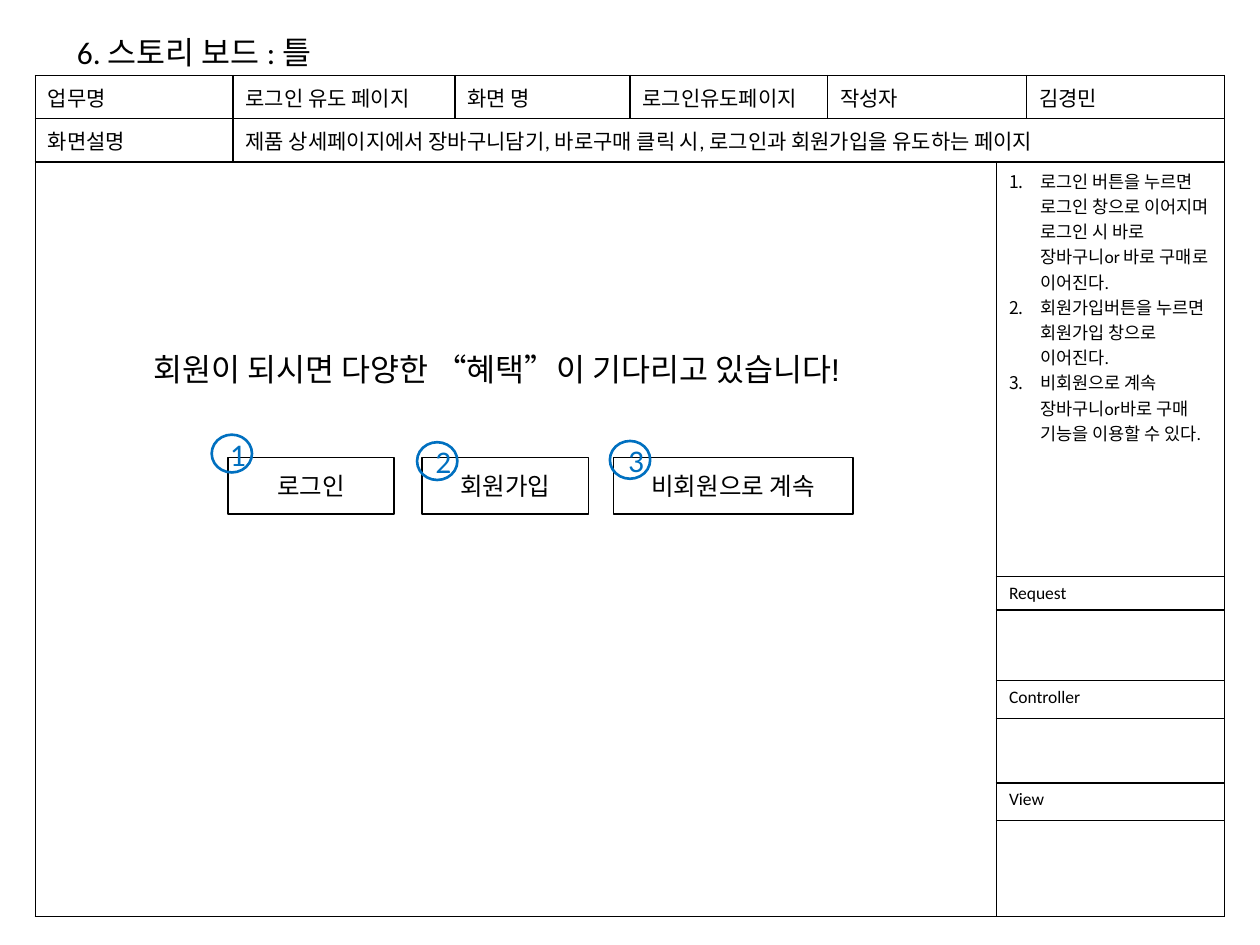
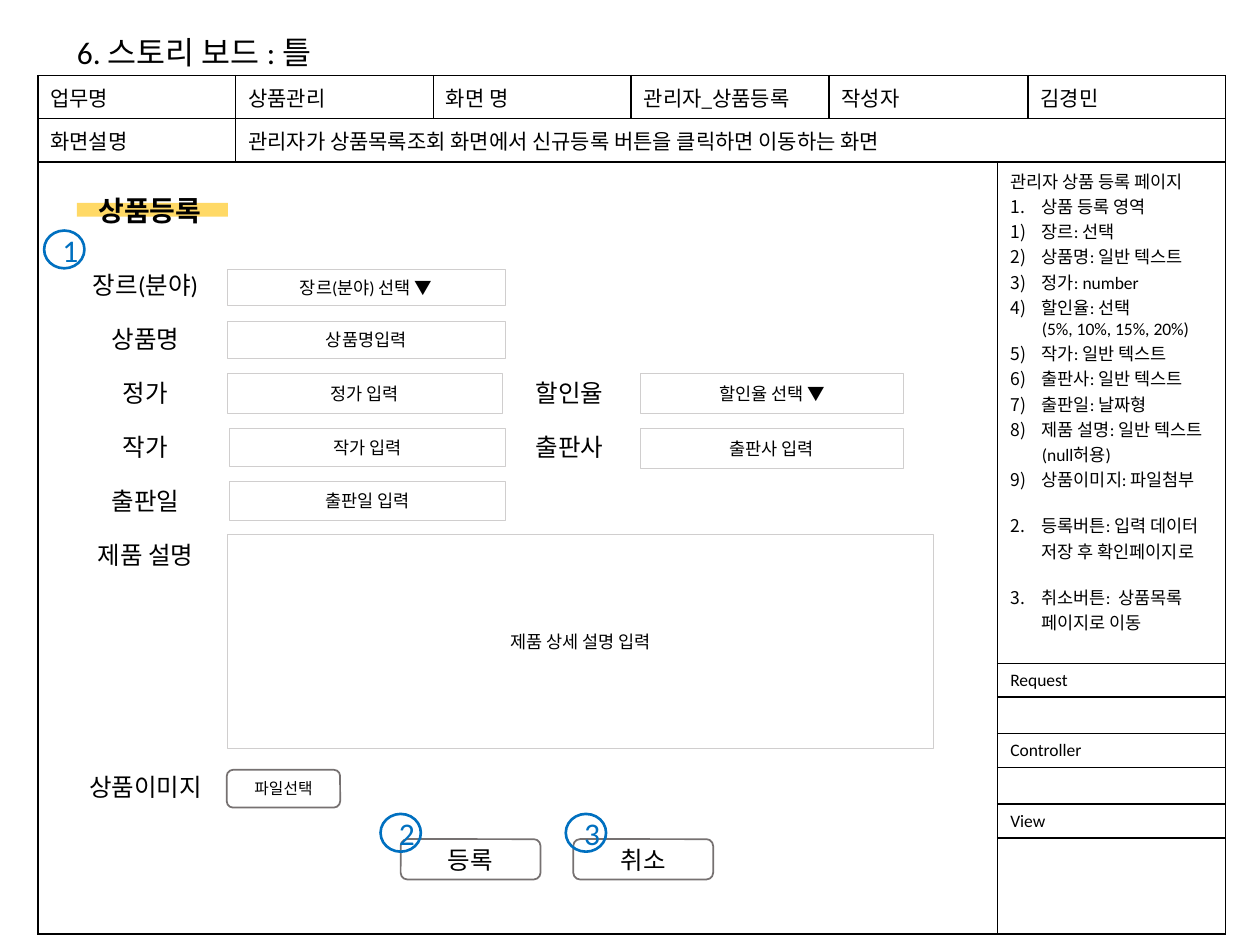
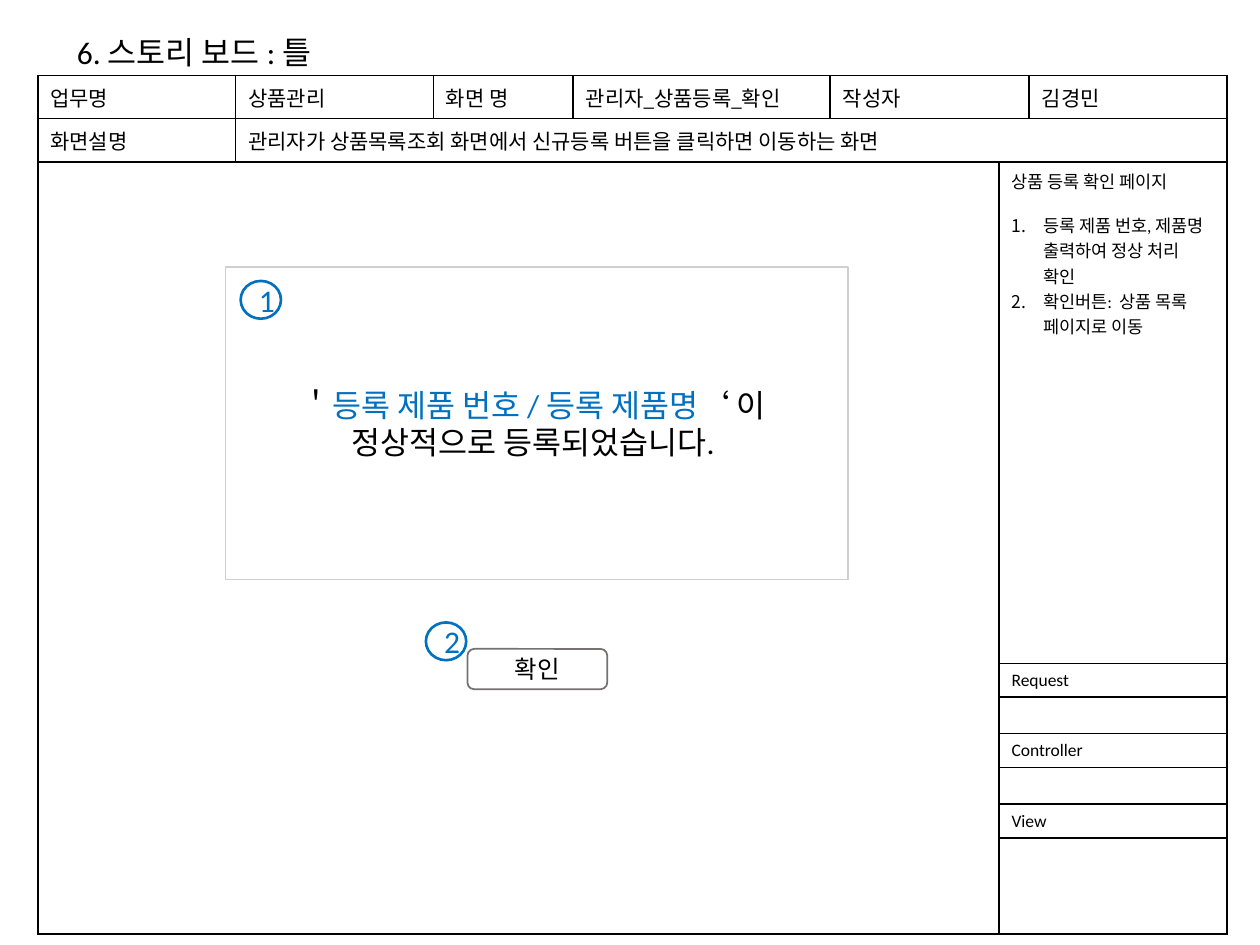
from lxml.etree import SubElement
from pptx import Presentation
from pptx.dml.color import RGBColor
from pptx.enum.shapes import MSO_SHAPE
from pptx.enum.text import MSO_ANCHOR, PP_ALIGN
from pptx.oxml.ns import qn
from pptx.util import Inches, Pt

INK = {"black": "000000", "blue": "0070C0", "pale": "D0CECE",
       "gray": "767171", "gold": "FFD966"}
RECT, ROUND, OVAL = MSO_SHAPE.RECTANGLE, MSO_SHAPE.ROUNDED_RECTANGLE, MSO_SHAPE.OVAL
LEFT, TOP = 0.3, 0.6
HEAD = 0.29
PITCH = 0.43
DOT, DOT_TALL = 0.32, 0.3
BUTTON = (1.11, 0.32)


def write(para, text, size, ink="black", face="Calibri", bold=False):
    """Add one run to a paragraph."""
    run = para.add_run()
    run.text = text
    run.font.size, run.font.name, run.font.bold = Pt(size), face, bold
    run.font.color.rgb = RGBColor.from_string(INK[ink])


def box(slide, kind, at, text="", size=14, line=None, weight=1, fill=None, **font):
    """Add a shape, or a text box when kind is None, with centred text."""
    spot = [Inches(n) for n in at]
    if kind is None:
        shape = slide.shapes.add_textbox(*spot)
    else:
        shape = slide.shapes.add_shape(kind, *spot)
        shape.shadow.inherit = False
        shape.text_frame.vertical_anchor = MSO_ANCHOR.MIDDLE
        if fill:
            shape.fill.solid()
            shape.fill.fore_color.rgb = RGBColor.from_string(INK[fill])
        else:
            shape.fill.background()
        if line:
            shape.line.color.rgb = RGBColor.from_string(INK[line])
            shape.line.width = Pt(weight)
        else:
            shape.line.fill.background()
    shape.text_frame.word_wrap = True
    para = shape.text_frame.paragraphs[0]
    para.alignment = PP_ALIGN.CENTER
    if text:
        write(para, text, size, **font)
    return shape


# Each note: number style, first number, space before in points, text
DOTTED, PAREN = "arabicPeriod", "arabicParenR"
ADMIN = "관리자가 상품목록조회 화면에서 신규등록 버튼을 클릭하면 이동하는 화면"
TALL = [HEAD, HEAD, 3.98, 0.26, 0.29, 0.27, 0.29, 0.26, 0.76]
pages = [
    {"left": 0.28, "cols": [1.57, 1.76, 1.39, 1.57, 1.34, 0.24, 1.57],
     "rows": [HEAD, HEAD, 3.29, 0.26, 0.56, 0.3, 0.51, 0.3, 0.76],
     "head": ["로그인 유도 페이지", "로그인유도페이지"], "face": "Calibri",
     "about": "제품 상세페이지에서 장바구니담기, 바로구매 클릭 시, 로그인과 회원가입을 유도하는 페이지",
     "notes": [
         (DOTTED, 1, 0, "로그인 버튼을 누르면 로그인 창으로 이어지며 로그인 시 바로 장바구니or 바로 구매로 이어진다."),
         (DOTTED, 1, 0, "회원가입버튼을 누르면 회원가입 창으로 이어진다."),
         (DOTTED, 1, 0, "비회원으로 계속 장바구니or바로 구매 기능을 이용할 수 있다.")],
     "dots": [(1.68, 3.45), (3.31, 3.51), (4.84, 3.5)]},
    {"left": LEFT, "cols": [1.57, 1.57, 1.57, 1.57, 1.34, 0.24, 1.57],
     "rows": TALL, "head": ["상품관리", "관리자_상품등록"],
     "face": "Arial", "about": ADMIN,
     "notes": [
         (None, 0, 0, "관리자 상품 등록 페이지"),
         (DOTTED, 1, 0, "상품 등록 영역"),
         (PAREN, 1, 0, "장르: 선택"),
         (PAREN, 1, 0, "상품명: 일반 텍스트"),
         (PAREN, 1, 0, "정가: number"),
         (PAREN, 1, 0, "할인율: 선택"),
         (None, 1, 0, "(5%, 10%, 15%, 20%)"),
         (PAREN, 5, 0, "작가: 일반 텍스트"),
         (PAREN, 5, 0, "출판사: 일반 텍스트"),
         (PAREN, 5, 0, "출판일: 날짜형"),
         (PAREN, 5, 0, "제품 설명: 일반 텍스트(null허용)"),
         (PAREN, 5, 0, "상품이미지: 파일첨부"),
         (DOTTED, 2, 12, "등록버튼: 입력 데이터 저장 후 확인페이지로"),
         (DOTTED, 2, 12, "취소버튼:  상품목록 페이지로 이동")],
     "dots": [(0.35, 1.83), (3.02, 6.46), (4.49, 6.46)]},
    {"left": LEFT, "cols": [1.57, 1.57, 1.11, 2.04, 1.34, 0.24, 1.57],
     "rows": TALL, "head": ["상품관리", "관리자_상품등록_확인"],
     "face": "Arial", "about": ADMIN,
     "notes": [
         (None, 0, 0, "상품 등록 확인 페이지"),
         (DOTTED, 1, 11, "등록 제품 번호, 제품명 출력하여 정상 처리 확인"),
         (DOTTED, 1, 0, "확인버튼:  상품 목록 페이지로 이동")],
     "dots": [(1.91, 2.23), (3.38, 4.94)]},
]

deck = Presentation()
deck.slide_width, deck.slide_height = Inches(10), Inches(7.5)

# Shared frame: title and storyboard table
for page in pages:
    slide = deck.slides.add_slide(deck.slide_layouts[5])
    page["slide"] = slide
    title = slide.shapes.title
    title.left, title.top = Inches(0.51), Inches(0.21)
    title.width, title.height = Inches(2.32), Inches(0.71)
    title.text_frame.word_wrap = False
    title.text_frame.vertical_anchor = MSO_ANCHOR.TOP
    para = title.text_frame.paragraphs[0]
    para.alignment = PP_ALIGN.LEFT
    write(para, "6. 스토리 보드 : 틀", 18)

    cols, rows = page["cols"], page["rows"]
    table = slide.shapes.add_table(
        len(rows), len(cols), Inches(page["left"]), Inches(TOP),
        Inches(sum(cols)), Inches(sum(rows))).table
    table.first_row = table.horz_banding = False
    for col, width in zip(table.columns, cols):
        col.width = Inches(width)
    for row, height in zip(table.rows, rows):
        row.height = Inches(height)
    for cell in table.iter_cells():
        props = cell._tc.get_or_add_tcPr()
        for side in ("a:lnL", "a:lnR", "a:lnT", "a:lnB"):
            edge = SubElement(props, qn(side), w=str(Pt(1)))
            SubElement(SubElement(edge, qn("a:solidFill")), qn("a:srgbClr"), val=INK["black"])
        cell.fill.background()

    table.cell(0, 4).merge(table.cell(0, 5))
    table.cell(1, 1).merge(table.cell(1, 6))
    table.cell(2, 0).merge(table.cell(8, 4))
    for r in range(2, 9):
        table.cell(r, 5).merge(table.cell(r, 6))

    task, view = page["head"]
    heads = {0: "업무명", 1: task, 2: "화면 명", 3: view, 4: "작성자", 6: "김경민"}
    for c, text in heads.items():
        write(table.cell(0, c).text_frame.paragraphs[0], text, 12)
    write(table.cell(1, 0).text_frame.paragraphs[0], "화면설명", 12)
    write(table.cell(1, 1).text_frame.paragraphs[0], page["about"], 12, face=page["face"])
    for r, text in zip((3, 5, 7), ("Request", "Controller", "View")):
        write(table.cell(r, 5).text_frame.paragraphs[0], text, 10)
        empty = table.cell(r + 1, 5).text_frame.paragraphs[0]
        SubElement(empty._p, qn("a:endParaRPr"), sz="1000")

    frame = table.cell(2, 5).text_frame
    for i, (style, start, gap, text) in enumerate(page["notes"]):
        para = frame.add_paragraph() if i else frame.paragraphs[0]
        para.space_before = Pt(gap)
        props = para._p.get_or_add_pPr()
        if start:
            props.set("marL", str(Inches(0.25)))
        if style:
            props.set("indent", str(Inches(-0.25)))
            mark = SubElement(props, qn("a:buAutoNum"), type=style)
            if start > 1:
                mark.set("startAt", str(start))
        write(para, text, 10)

login, form, done = [page["slide"] for page in pages]

# Login invitation
for x, width, text in ((1.81, 1.32, "로그인"), (3.35, 1.32, "회원가입"),
                       (4.87, 1.9, "비회원으로 계속")):
    box(login, RECT, (x, 3.63, width, 0.45), text, line="black")
box(login, None, (0.79, 2.73, 6.37, 0.4),
    "회원이 되시면 다양한 “혜택”이 기다리고 있습니다! ", 18, face="Arial")

# Product form
box(form, RECT, (0.61, 1.61, 1.2, 0.11), fill="gold")
box(form, None, (0.64, 1.49, 1.1, 0.37), "상품등록", 16, bold=True)
labels = ["장르(분야)", "상품명", "정가", "작가", "출판일", "제품 설명"]
for i, text in enumerate(labels):
    box(form, None, (0.51, 2.09 + i * PITCH, 1.29, 0.34), text)
for i, text in enumerate(["할인율", "출판사"], 2):
    box(form, None, (4.02, 2.09 + i * PITCH, 1, 0.34), text)
box(form, None, (0.56, 6.08, 1.19, 0.34), "상품이미지")
fields = [
    (1.8, 2.14, 2.21, 0.28, "장르(분야) 선택 ▼"),
    (1.8, 2.55, 2.21, 0.29, "상품명입력"),
    (1.8, 2.96, 2.19, 0.32, "정가 입력"),
    (5.08, 2.96, 2.09, 0.32, "할인율 선택 ▼"),
    (1.82, 3.4, 2.19, 0.3, "작가 입력"),
    (5.08, 3.4, 2.09, 0.32, "출판사 입력"),
    (1.82, 3.82, 2.19, 0.31, "출판일 입력"),
    (1.8, 4.24, 5.61, 1.7, "제품 상세 설명 입력"),
]
for *at, text in fields:
    box(form, RECT, at, text, 10, line="pale", weight=0.25)
box(form, ROUND, (1.8, 6.11, 0.9, 0.3), "파일선택", 9, line="gray")

# Confirmation
notice = box(done, RECT, (1.79, 2.12, 4.94, 2.48), line="pale").text_frame
first = notice.paragraphs[0]
for text, ink in (("＇", "black"), ("등록 제품 번호 / 등록 제품명", "blue"), ("‘ 이 ", "black")):
    write(first, text, 18, ink)
second = notice.add_paragraph()
second.alignment = PP_ALIGN.CENTER
write(second, "정상적으로 등록되었습니다. ", 18)

# Buttons and numbered marks
for slide, x, y, text in ((form, 3.18, 6.66, "등록"), (form, 4.55, 6.66, "취소"),
                          (done, 3.71, 5.15, "확인")):
    box(slide, ROUND, (x, y, *BUTTON), text, line="gray")
for page in pages:
    for n, (x, y) in enumerate(page["dots"], 1):
        box(page["slide"], OVAL, (x, y, DOT, DOT_TALL), str(n), 18,
            line="blue", weight=1.5, ink="blue")

deck.save("out.pptx")
